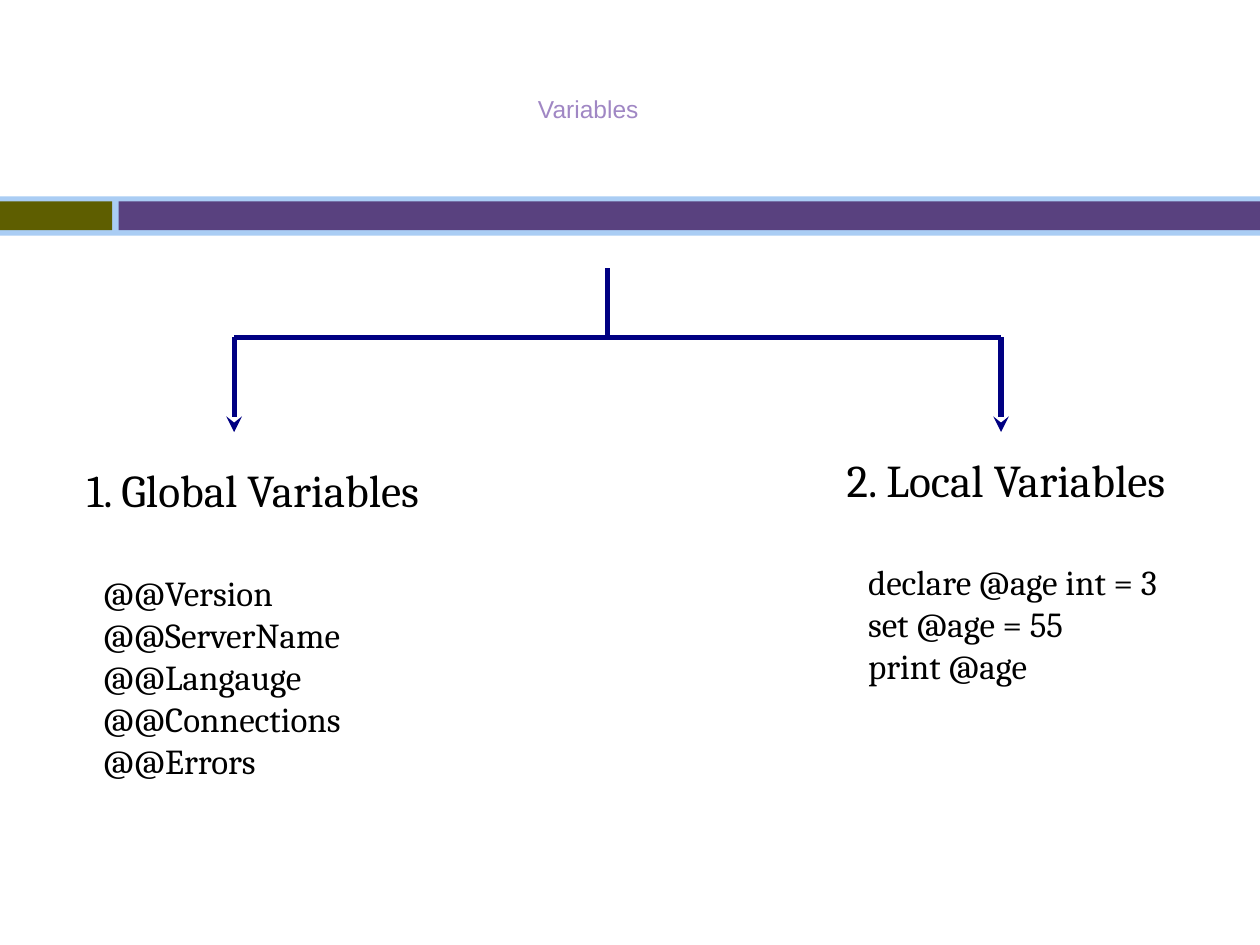
import pptx
import pptx.util
import pptx.dml.color
import pptx.enum.shapes
import pptx.enum.text
import pptx.oxml
import pptx.oxml.ns
from pptx.util import Cm

COLOURS = {
    "band": "AACDF4",
    "olive": "5E5E00",
    "purple": "59417F",
    "title": "A087C4",
    "navy": "000082",
    "text": "000000",
}
CENTER = pptx.enum.text.PP_ALIGN.CENTER


def colour(name):
    return pptx.dml.color.RGBColor.from_string(COLOURS[name])


def add_span(para, text, font, size, colour_name):
    span = para.add_run()
    span.text = text
    span.font.name = font
    span.font.size = pptx.util.Pt(size)
    span.font.color.rgb = colour(colour_name)


def add_title(page, left, top, width, height):
    box = page.shapes.add_textbox(Cm(left), Cm(top), Cm(width), Cm(height))
    box.text_frame.word_wrap = True
    para = box.text_frame.paragraphs[0]
    para.alignment = CENTER
    add_span(para, "Variables", "Arial", 14, "title")


def add_band(page, left, top, width, height):
    """Light band holding a short olive bar and a long purple one."""
    split, gap, bar_height = 2.26, 0.13, 0.58
    bar_top = top + 0.1
    bars = [
        (left, top, width, height, "band"),
        (left, bar_top, split, bar_height, "olive"),
        (left + split + gap, bar_top, width - split - gap, bar_height, "purple"),
    ]
    for *place, name in bars:
        bar = page.shapes.add_shape(
            pptx.enum.shapes.MSO_SHAPE.RECTANGLE, *map(Cm, place))
        bar.shadow.inherit = False
        bar.fill.solid()
        bar.fill.fore_color.rgb = colour(name)
        bar.line.fill.background()


def add_line(page, start, end, arrow=False):
    line = page.shapes.add_connector(
        pptx.enum.shapes.MSO_CONNECTOR.STRAIGHT, *map(Cm, start + end))
    line.line.color.rgb = colour("navy")
    line.line.width = pptx.util.Pt(3)
    if arrow:
        tail = pptx.oxml.parse_xml(
            f'<a:tailEnd {pptx.oxml.ns.nsdecls("a")} type="stealth"/>')
        line.line._get_or_add_ln().append(tail)
    line._element.spPr.append(
        pptx.oxml.parse_xml(f'<a:effectLst {pptx.oxml.ns.nsdecls("a")}/>'))


def add_fork(page, left, top, width, height):
    """Stem that splits into two arrows at the ends of a crossbar."""
    stem = left + 7.53
    bar = top + 1.39
    add_line(page, (stem, top), (stem, bar))
    add_line(page, (left, bar), (left + width, bar))
    for leg in (left, left + width):
        add_line(page, (leg, bar), (leg, top + height), arrow=True)


def add_branch(page, left, top, width, height, heading, items):
    box = page.shapes.add_textbox(Cm(left), Cm(top), Cm(width), Cm(height))
    frame = box.text_frame
    frame.word_wrap = True
    frame.margin_left = frame.margin_right = Cm(0.25)
    frame.margin_top = frame.margin_bottom = Cm(0.25)
    para = frame.paragraphs[0]
    para.alignment = CENTER
    para.space_after = pptx.util.Pt(31)
    add_span(para, heading, "Cambria", 26, "text")
    for item in items:
        para = frame.add_paragraph()
        para._p.get_or_add_pPr().set("marL", str(Cm(1.27)))
        add_span(para, item, "Cambria", 20, "text")


def main():
    deck = pptx.Presentation()
    deck.slide_width, deck.slide_height = Cm(25.4), Cm(19.05)
    page = deck.slides.add_slide(deck.slide_layouts[6])
    add_band(page, 0, 3.96, 25.4, 0.79)
    add_title(page, 8.28, 1.78, 7.16, 1.3)
    add_fork(page, 4.72, 5.41, 15.46, 3.3)
    add_branch(page, 0.56, 9.07, 9.09, 8.13, "1. Global Variables",
               ["@@Version", "@@ServerName", "@@Langauge",
                "@@Connections", "@@Errors"])
    add_branch(page, 15.98, 8.86, 8.61, 5.31, "2. Local Variables",
               ["declare @age int = 3", "set @age = 55", "print @age"])
    deck.save("out.pptx")


if __name__ == "__main__":
    main()
